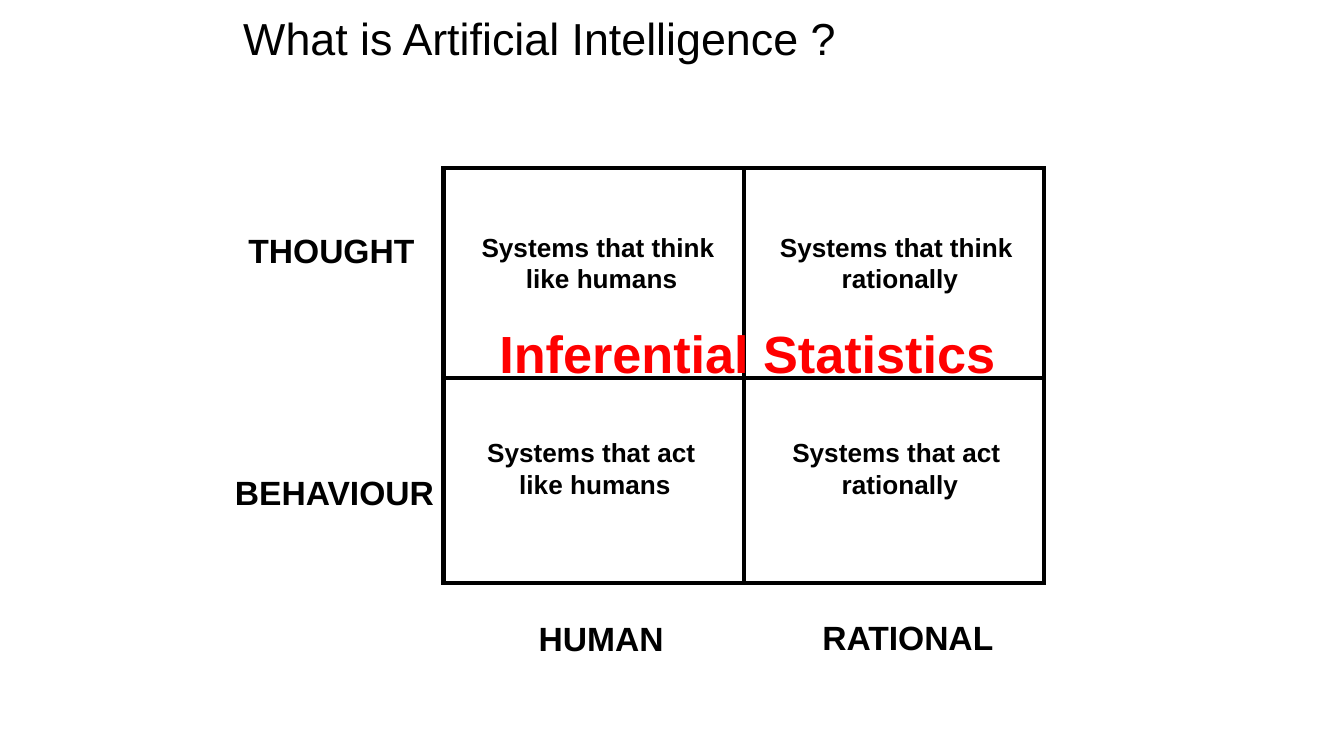
from lxml import etree
from pptx import Presentation
from pptx import util as u
from pptx.dml.color import RGBColor
from pptx.enum import shapes, text
from pptx.oxml.ns import qn

BLACK = RGBColor(0, 0, 0)
RED = RGBColor(0xFF, 0, 0)
RULE_WIDTH = u.Pt(2.25)

# 16:9 slide
SLIDE_WIDTH = u.Inches(10)
SLIDE_HEIGHT = SLIDE_WIDTH * 9 // 16

# Matrix edges and middle lines, in inches
LEFT, TOP, WIDTH, HEIGHT = 3.3, 1.25, 4.47, 3.09
MID_X, MID_Y = LEFT + WIDTH / 2, 2.81

AXIS_LABELS = [
    ("THOUGHT", 1.75, 1.66, 1.45),
    ("BEHAVIOUR", 1.65, 3.46, 1.7),
    ("HUMAN", 3.91, 4.55, 1.14),
    ("RATIONAL", 6.02, 4.54, 1.49),
]
# \v is a line break inside the paragraph
QUADRANTS = [
    ("Systems that act\v rationally", 5.79, 3.2, 1.76),
    ("Systems that think\v like humans", 3.48, 1.67, 1.94),
    ("Systems that think\v rationally", 5.7, 1.67, 1.94),
    ("Systems that act\v like humans", 3.52, 3.2, 1.76),
]


def apply(target, values):
    for name, value in values.items():
        setattr(target, name, value)


def write(frame, words, size, color=BLACK, bold=True, align=text.PP_ALIGN.LEFT):
    frame.text = words
    paragraph = frame.paragraphs[0]
    paragraph.alignment = align
    for run in paragraph.runs:
        apply(run.font, {"name": "Arial", "size": u.Pt(size), "bold": bold})
        run.font.color.rgb = color
    # Line breaks need the text size too, or they stretch the line
    for line_break in paragraph._p.findall(qn("a:br")):
        etree.SubElement(line_break, qn("a:rPr"), sz=str(size * 100))
    return paragraph


def add_title(slide, words):
    title = slide.shapes.title
    apply(title, {"left": u.Inches(1.81), "top": u.Inches(0.09),
                  "width": u.Inches(6.38), "height": u.Inches(0.94)})
    apply(title.text_frame, {
        "margin_left": 0, "margin_top": 0, "margin_right": 0, "margin_bottom": 0,
        "vertical_anchor": text.MSO_ANCHOR.TOP, "word_wrap": True,
        "auto_size": text.MSO_AUTO_SIZE.NONE})
    paragraph = write(title.text_frame, words, 24, bold=False)
    apply(paragraph, {"line_spacing": u.Pt(28), "space_after": u.Pt(18)})


def add_label(slide, words, left, top, width, height, size, wrap=False, **style):
    label = slide.shapes.add_textbox(*map(u.Inches, (left, top, width, height)))
    apply(label.text_frame, {"word_wrap": wrap,
                             "auto_size": text.MSO_AUTO_SIZE.SHAPE_TO_FIT_TEXT})
    write(label.text_frame, words, size, **style)


def draw_outline(line):
    line.color.rgb = BLACK
    line.width = RULE_WIDTH


def add_rule(slide, *ends):
    rule = slide.shapes.add_connector(shapes.MSO_CONNECTOR.STRAIGHT,
                                      *map(u.Inches, ends))
    draw_outline(rule.line)
    etree.SubElement(rule._element.spPr, qn("a:effectLst"))


def add_matrix_frame(slide):
    frame = slide.shapes.add_shape(shapes.MSO_SHAPE.RECTANGLE,
                                   *map(u.Inches, (LEFT, TOP, WIDTH, HEIGHT)))
    frame.shadow.inherit = False
    frame.fill.background()
    draw_outline(frame.line)
    # Square corners
    etree.SubElement(frame._element.spPr.find(qn("a:ln")), qn("a:miter"), lim="800000")


def main():
    deck = Presentation()
    apply(deck, {"slide_width": SLIDE_WIDTH, "slide_height": SLIDE_HEIGHT})
    slide = deck.slides.add_slide(deck.slide_layouts[5])
    add_title(slide, "What is Artificial Intelligence ?")

    # Two-by-two matrix
    add_rule(slide, LEFT, MID_Y, LEFT + WIDTH, MID_Y)
    add_rule(slide, MID_X, TOP, MID_X, TOP + HEIGHT)
    add_matrix_frame(slide)
    for words, left, top, width in QUADRANTS:
        add_label(slide, words, left, top, width, 0.57, 14,
                  align=text.PP_ALIGN.CENTER)

    # Row and column names
    for words, left, top, width in AXIS_LABELS:
        add_label(slide, words, left, top, width, 0.4, 18)

    # Headline across the matrix
    add_label(slide, "Inferential Statistics", 1.75, 2.34, 7.62, 0.57, 28,
              wrap=True, color=RED, align=text.PP_ALIGN.CENTER)
    deck.save("out.pptx")


if __name__ == "__main__":
    main()
